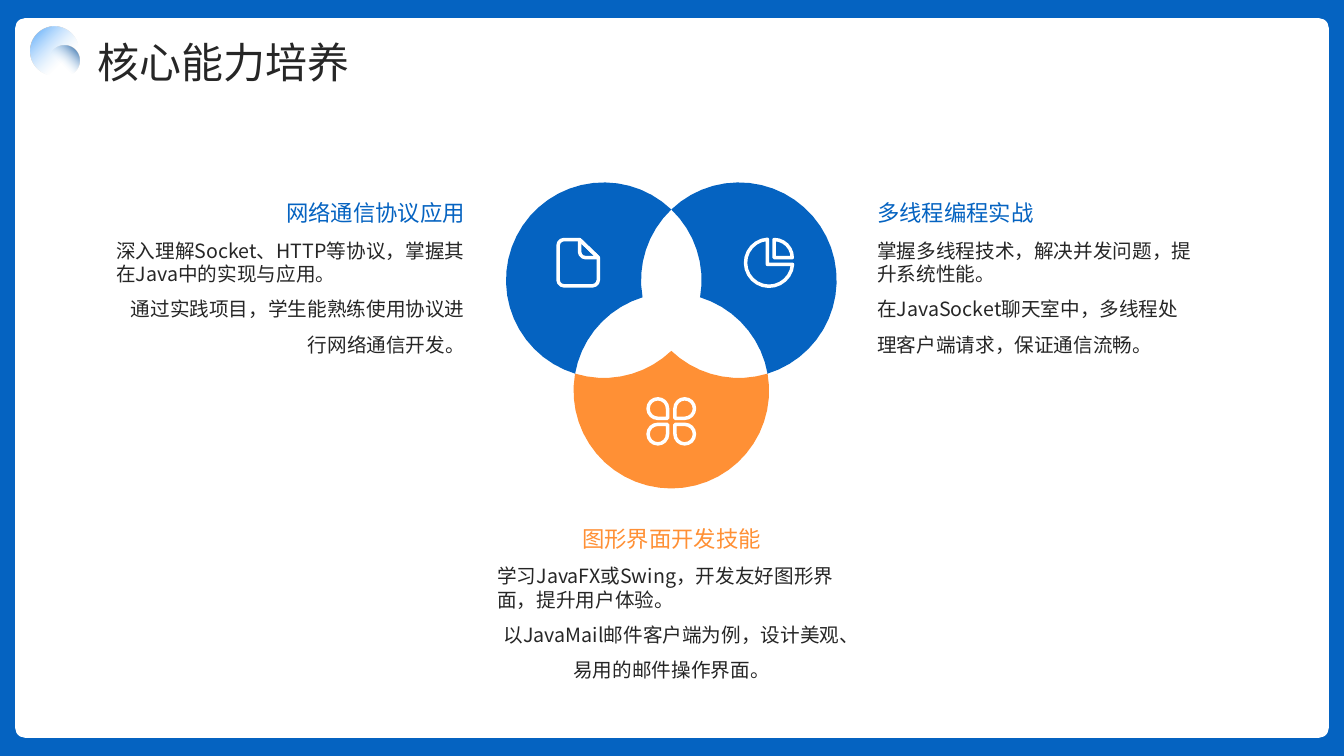
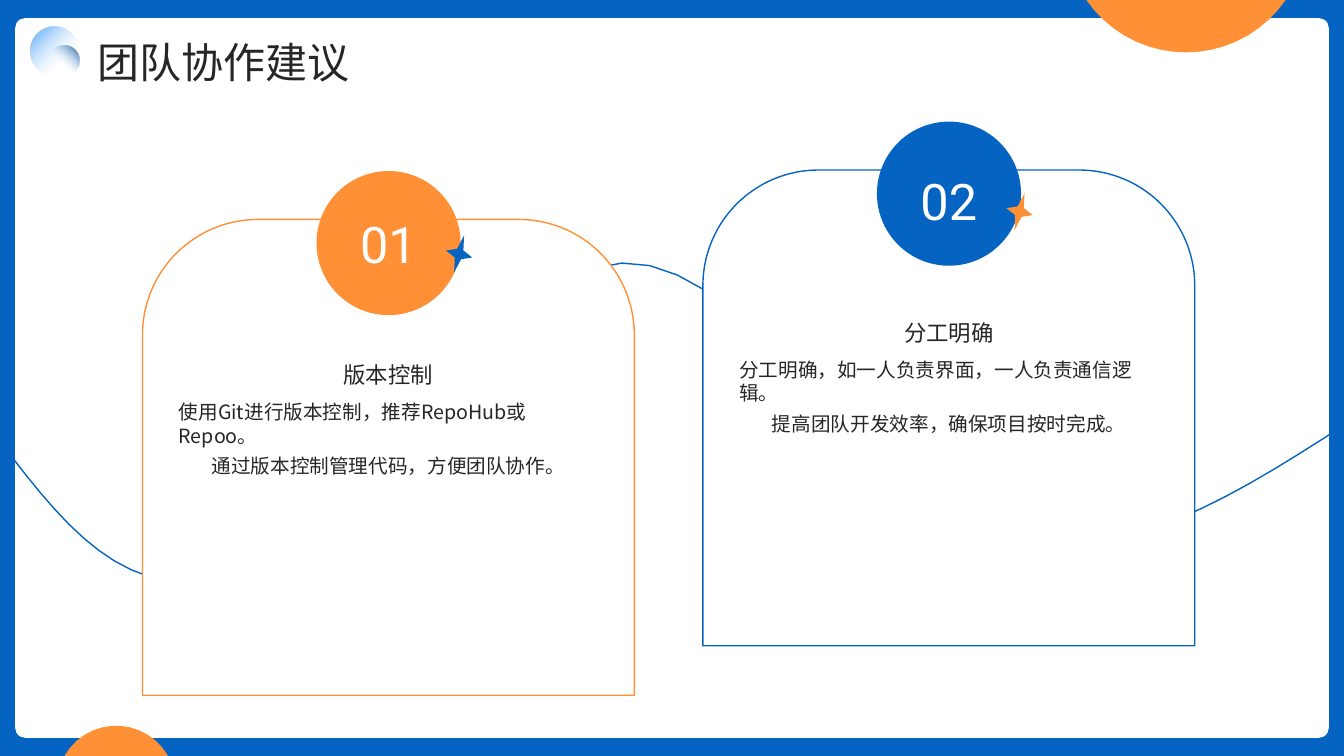
from dataclasses import dataclass
from math import cos, radians, sin, sqrt
from typing import NamedTuple, Optional

from pptx import Presentation
from pptx.dml.color import RGBColor
from pptx.enum.shapes import MSO_SHAPE
from pptx.enum.text import MSO_ANCHOR, PP_ALIGN
from pptx.oxml import parse_xml
from pptx.oxml.ns import qn
from pptx.util import Emu, Pt

COLS, ROWS = 40, 22.5
UNIT = 304800
BLUE = RGBColor(0x05, 0x63, 0xC1)
ORANGE = RGBColor(0xFF, 0x90, 0x35)
WHITE = RGBColor(0xFF, 0xFF, 0xFF)
INK = RGBColor(0x26, 0x26, 0x26)
MIST = RGBColor(0xC2, 0xE0, 0xFD)
SKY = RGBColor(0x49, 0xA1, 0xFA)
NAVY = RGBColor(0x04, 0x4A, 0x91)
SANS, DIGIT = "Noto Sans CJK SC", "Roboto"
LEFT, MID, RIGHT = PP_ALIGN.LEFT, PP_ALIGN.CENTER, PP_ALIGN.RIGHT
DRAWING = "http://schemas.openxmlformats.org/drawingml/2006/main"
Points = list[tuple[float, float]]


class Box(NamedTuple):
    x: float
    y: float
    w: float
    h: float


class Arc(NamedTuple):
    x: float
    y: float
    r: float = 0
    start: float = 0
    end: float = 0


@dataclass
class Orb:
    box: Box
    stop: int
    color: RGBColor
    focus: str


@dataclass
class Skill:
    box: Box
    align: PP_ALIGN
    color: RGBColor
    title: str
    lines: list[str]


@dataclass
class Card:
    x: float
    y: float
    drop: float
    color: RGBColor
    spark: RGBColor
    mark: str
    title: str
    lines: list[str]


ORBS = [
    Orb(Box(0.9, 0.79, 1.44, 1.44), 31, SKY, 'l="100000" t="100000"'),
    Orb(Box(1.47, 1.35, 0.9, 0.9), 40, NAVY, 't="100000" r="100000"'),
]

SKILLS = [
    Skill(Box(14.8, 16.79, 10.38, 3.93), MID, ORANGE, "图形界面开发技能",
          ["学习JavaFX或Swing，开发友好图形界面，提升用户体验。",
           "以JavaMail邮件客户端为例，设计美观、易用的邮件操作界面。"]),
    Skill(Box(3.46, 7.1, 10.38, 3.93), RIGHT, BLUE, "网络通信协议应用",
          ["深入理解Socket、HTTP等协议，掌握其在Java中的实现与应用。",
           "通过实践项目，学生能熟练使用协议进行网络通信开发。"]),
    Skill(Box(26.11, 7.1, 9.39, 3.93), LEFT, BLUE, "多线程编程实战",
          ["掌握多线程技术，解决并发问题，提升系统性能。",
           "在JavaSocket聊天室中，多线程处理客户端请求，保证通信流畅。"]),
]

CARDS = [
    Card(20.92, 5.06, 0.22, BLUE, ORANGE, "02", "分工明确",
         ["分工明确，如一人负责界面，一人负责通信逻辑。",
          "提高团队开发效率，确保项目按时完成。"]),
    Card(4.24, 6.53, 0.01, ORANGE, BLUE, "01", "版本控制",
         ["使用Git进行版本控制，推荐RepoHub或Repoo。",
          "通过版本控制管理代码，方便团队协作。"]),
]

WAVE = [(0, 13.14), (1.86, 15.57), (3.72, 18.03), (6.81, 17.13),
        (9.9, 16.26), (14.67, 8.01), (18.51, 7.83),
        (22.35, 7.65), (26.28, 15.24), (29.88, 16.05),
        (33.45, 16.86), (36.72, 14.76), (40, 12.66)]


def paint(item, fill: Optional[RGBColor] = None,
          line: Optional[RGBColor] = None, width: float = 1):
    item.shadow.inherit = False
    if fill is None:
        item.fill.background()
    else:
        item.fill.solid()
        item.fill.fore_color.rgb = fill
    if line is None:
        item.line.fill.background()
    else:
        item.line.color.rgb = line
        item.line.width = Pt(width)
    return item


def shape(slide, kind: MSO_SHAPE, box: Box, *adjust: float, **look):
    item = slide.shapes.add_shape(kind, *[Emu(round(v * UNIT)) for v in box])
    for i, value in enumerate(adjust):
        item.adjustments[i] = value
    return paint(item, **look)


def text(slide, box: Box, lines: list[str], *, size: float,
         color: RGBColor = INK, font: str = SANS, align: PP_ALIGN = LEFT,
         space: float = 1, anchor: MSO_ANCHOR = MSO_ANCHOR.TOP) -> None:
    frame = slide.shapes.add_textbox(
        *[Emu(round(v * UNIT)) for v in box]).text_frame
    frame.word_wrap = True
    frame.vertical_anchor = anchor
    frame.margin_left = frame.margin_right = 0
    frame.margin_top = frame.margin_bottom = 0
    for i, line in enumerate(lines):
        para = frame.paragraphs[0] if i == 0 else frame.add_paragraph()
        if i < len(lines) - 1:
            para._element.get_or_add_pPr().set("hangingPunct", "0")
        run = para.add_run()
        run.text = line
        run.font.size = Pt(size)
        run.font.name = font
        run.font.color.rgb = color
        east = run.font._element.makeelement(qn("a:ea"), {"typeface": font})
        run.font._element.find(qn("a:latin")).addnext(east)
    para.alignment = align
    para.line_spacing = space


def trace(*arcs: Arc) -> Points:
    points = []
    for arc in arcs:
        span = arc.end - arc.start
        steps = max(1, round(abs(span) * sqrt(arc.r) / 12))
        for i in range(steps + 1 if arc.r else 1):
            turn = radians(arc.start + span * i / steps)
            points.append((arc.x + arc.r * cos(turn), arc.y + arc.r * sin(turn)))
    return points


def bend(knots: Points, steps: int = 14) -> Points:
    points = [knots[0]]
    for k in range(0, len(knots) - 1, 3):
        for i in range(1, steps + 1):
            t = i / steps
            share = ((1 - t) ** 3, 3 * t * (1 - t) ** 2, 3 * t * t * (1 - t), t ** 3)
            points.append(tuple(sum(s * p[axis] for s, p in zip(share, knots[k:k + 4]))
                                for axis in (0, 1)))
    return points


def draw(slide, *loops: Points, close: bool = True, **look):
    pen = None
    for loop in loops:
        spots = [(round(x * UNIT), round(y * UNIT)) for x, y in loop]
        if pen is None:
            pen = slide.shapes.build_freeform(*spots[0])
        else:
            pen.move_to(*spots[0])
        pen.add_line_segments(spots[1:], close=close)
    return paint(pen.convert_to_shape(), **look)


def glow(slide, orb: Orb) -> None:
    item = shape(slide, MSO_SHAPE.OVAL, orb.box, fill=orb.color)
    solid = item._element.spPr.find(qn("a:solidFill"))
    solid.getparent().replace(solid, parse_xml(
        f'<a:gradFill xmlns:a="{DRAWING}" rotWithShape="1"><a:gsLst>'
        f'<a:gs pos="{orb.stop * 1000}"><a:srgbClr val="{MIST}">'
        f'<a:alpha val="0"/></a:srgbClr></a:gs>'
        f'<a:gs pos="100000"><a:srgbClr val="{orb.color}"/></a:gs></a:gsLst>'
        f'<a:path path="circle"><a:fillToRect {orb.focus}/></a:path></a:gradFill>'))


def start(deck):
    slide = deck.slides.add_slide(deck.slide_layouts[6])
    shape(slide, MSO_SHAPE.RECTANGLE, Box(0, 0, COLS, ROWS), fill=BLUE)
    shape(slide, MSO_SHAPE.ROUNDED_RECTANGLE,
          Box(0.45, 0.54, COLS - 0.9, ROWS - 1.08), 0.014, fill=WHITE)
    return slide


def head(slide, title: str) -> None:
    text(slide, Box(2.91, 0.63, 34.26, 1.8), [title], size=30, space=1.3)
    for orb in ORBS:
        glow(slide, orb)


def venn(slide) -> None:
    axis, gap, top, low, r = 19.98, 2.01, 8.34, 11.63, 2.91
    west, east = axis - gap, axis + gap
    side = trace(Arc(west, top, r, -46.3, -253.2),
                 Arc(axis, low, r, 190, 253),
                 Arc(east, top, r, 170, 226.3))
    draw(slide, side, fill=BLUE)
    draw(slide, [(2 * axis - x, y) for x, y in side], fill=BLUE)
    draw(slide, trace(Arc(axis, low, r, -10, 190),
                      Arc(west, top, r, 106.8, 46.3),
                      Arc(east, top, r, 133.7, 73.2)), fill=ORANGE)


def icons(slide) -> None:
    pen = {"line": WHITE, "width": 2.5}
    draw(slide, trace(Arc(22.84, 7.87), Arc(22.89, 7.82, 0.7, 4, 266)),
         trace(Arc(23.04, 7.67), Arc(23.04, 7.67, 0.54, -90, 0)), **pen)
    tip, edge = Arc(17.25, 7.13), Arc(17.81, 7.67)
    draw(slide, trace(tip, edge, Arc(17.63, 8.33, 0.18, 0, 90),
                      Arc(16.79, 8.33, 0.18, 90, 180),
                      Arc(16.79, 7.31, 0.18, 180, 270)),
         trace(tip, Arc(17.43, 7.49, 0.18, 180, 90), edge), **pen)
    r, leaves = 0.29, []
    for dx, dy, turn in [(-1, -1, 90), (1, -1, 180), (1, 1, 270), (-1, 1, 0)]:
        x, y = 19.98 + 0.4 * dx, 12.54 + 0.38 * dy
        leaves.append(trace(Arc(x - r * dx, y - r * dy),
                            Arc(x, y, r, turn, turn + 270)))
    draw(slide, *leaves, **pen)


def skills(deck) -> None:
    slide = start(deck)
    venn(slide)
    for skill in SKILLS:
        box = skill.box
        text(slide, box, skill.lines, size=14, align=skill.align, space=1.5)
        text(slide, Box(box.x, box.y - 2.25, box.w, 1.89), [skill.title], size=16,
             color=skill.color, align=skill.align, space=1.3,
             anchor=MSO_ANCHOR.BOTTOM)
    icons(slide)
    head(slide, "核心能力培养")


def panel(slide, card: Card) -> None:
    x, y = card.x, card.y + card.drop
    shape(slide, MSO_SHAPE.ROUND_2_SAME_RECTANGLE, Box(x, card.y, 14.64, 14.16),
          0.243, 0, fill=WHITE, line=card.color)
    shape(slide, MSO_SHAPE.OVAL, Box(x + 5.18, card.y - 1.44, 4.29, 4.29),
          fill=card.color)
    text(slide, Box(x + 1.08, y + 5.37, 12.48, 8.13), card.lines, size=14,
         align=MID, space=1.3)
    text(slide, Box(x + 5.58, y - 0.72, 3.48, 2.82), [card.mark], size=36,
         color=WHITE, font=DIGIT, align=MID, anchor=MSO_ANCHOR.MIDDLE)
    star = shape(slide, MSO_SHAPE.STAR_4_POINT, Box(x + 9.02, y + 0.45, 0.81, 1.14),
                 0.167, fill=card.spark)
    star.rotation = 15
    text(slide, Box(x + 1.08, y + 2.98, 12.48, 2.04), [card.title], size=16,
         align=MID, space=1.1, anchor=MSO_ANCHOR.BOTTOM)


def team(deck) -> None:
    slide = start(deck)
    draw(slide, bend(WAVE), close=False, line=BLUE)
    for card in CARDS:
        panel(slide, card)
    for arc in (Arc(35.3, -2.04, 3.6, 34.5, 145.5),
                Arc(3.46, 23.37, 1.77, -150.6, -29.4)):
        draw(slide, trace(arc), fill=ORANGE)
    head(slide, "团队协作建议")


def main() -> None:
    deck = Presentation()
    deck.slide_width = Emu(round(COLS * UNIT))
    deck.slide_height = Emu(round(ROWS * UNIT))
    skills(deck)
    team(deck)
    deck.save("out.pptx")


if __name__ == "__main__":
    main()
